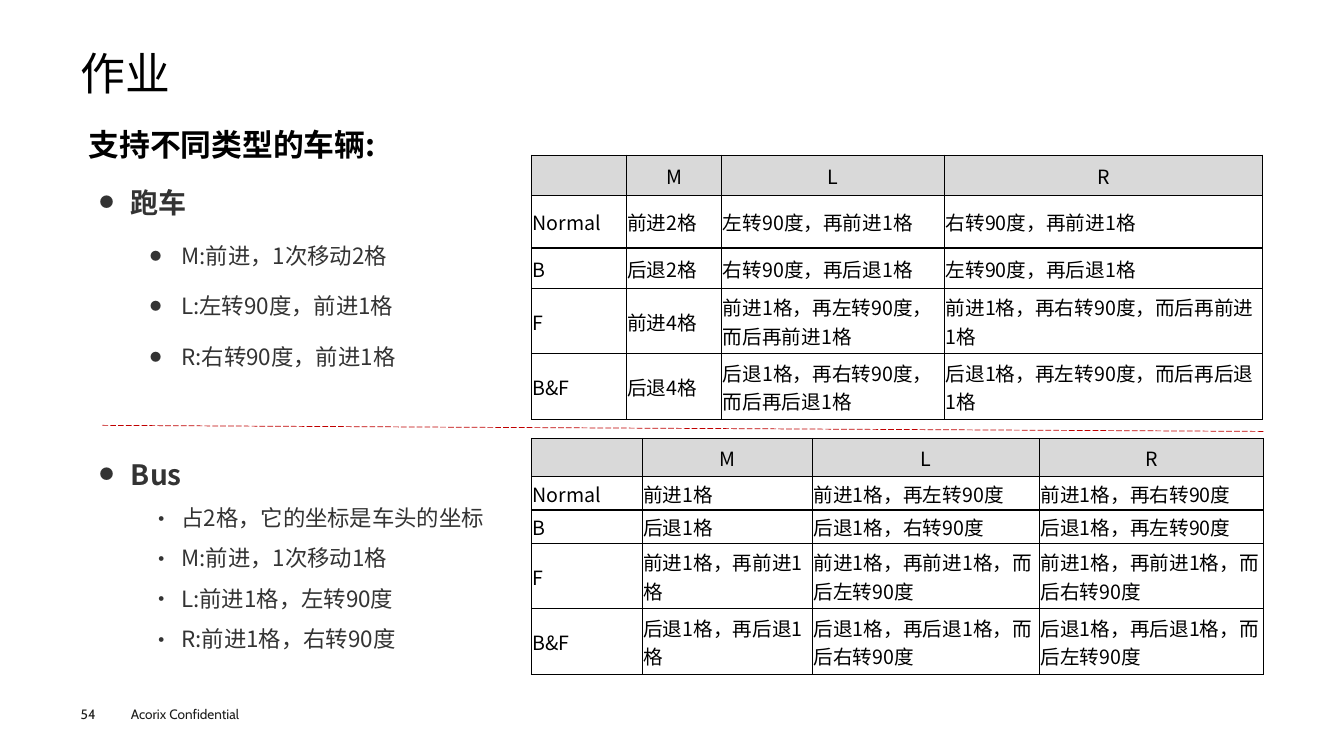
"""Build the homework slide on vehicle types."""
import dataclasses

import lxml.etree
import pptx
import pptx.dml.color
import pptx.enum.dml
import pptx.enum.shapes
import pptx.enum.text
import pptx.oxml.ns
import pptx.util

PX = 9144
ALIGN = pptx.enum.text.PP_ALIGN
ANCHOR = pptx.enum.text.MSO_ANCHOR
FIT = pptx.enum.text.MSO_AUTO_SIZE


@dataclasses.dataclass(frozen=True)
class Theme:
    """Fonts, colours and type sizes of the slide."""
    latin: str = "Cabin"
    chinese: str = "Noto Sans CJK SC"
    black: str = "000000"
    grey: str = "333333"
    footer_ink: str = "1D1D1B"
    header_fill: str = "D9D9D9"
    cell_fill: str = "FFFFFF"
    rule: str = "C00000"
    title: float = 32
    lead: float = 22
    group: float = 20
    item: float = 16
    cell: float = 14
    footer: float = 9.7


THEME = Theme()

CAR_ITEMS = ["M:前进，1次移动2格", "L:左转90度，前进1格", "R:右转90度，前进1格"]
BUS_ITEMS = ["占2格，它的坐标是车头的坐标", "M:前进，1次移动1格",
             "L:前进1格，左转90度", "R:前进1格，右转90度"]
HEADER = ["", "M", "L", "R"]
CAR_MOVES = [
    HEADER,
    ["Normal", "前进2格", "左转90度，再前进1格", "右转90度，再前进1格"],
    ["B", "后退2格", "右转90度，再后退1格", "左转90度，再后退1格"],
    ["F", "前进4格", "前进1格，再左转90度，而后再前进1格", "前进1格，再右转90度，而后再前进1格"],
    ["B&F", "后退4格", "后退1格，再右转90度，而后再后退1格", "后退1格，再左转90度，而后再后退1格"],
]
BUS_MOVES = [
    HEADER,
    ["Normal", "前进1格", "前进1格，再左转90度", "前进1格，再右转90度"],
    ["B", "后退1格", "后退1格，右转90度", "后退1格，再左转90度"],
    ["F", "前进1格，再前进1格", "前进1格，再前进1格，而后左转90度", "前进1格，再前进1格，而后右转90度"],
    ["B&F", "后退1格，再后退1格", "后退1格，再后退1格，而后右转90度", "后退1格，再后退1格，而后左转90度"],
]


def emu(*lengths):
    """Turn px lengths into EMU."""
    return [length * PX for length in lengths]


def rgb(code):
    """Return a colour object for a hex code."""
    return pptx.dml.color.RGBColor.from_string(code)


def add_element(parent, tag, **attributes):
    """Append a DrawingML element to its parent."""
    return lxml.etree.SubElement(parent, pptx.oxml.ns.qn(tag), attributes)


def style(para, size, colour, name=THEME.chinese, bold=False):
    """Set the paragraph font, for Latin and Chinese letters."""
    font = para.font
    font.size = pptx.util.Pt(size)
    font.bold = bold
    font.name = name
    font.color.rgb = rgb(colour)
    defaults = para._p.pPr.find(pptx.oxml.ns.qn("a:defRPr"))
    add_element(defaults, "a:ea", typeface=THEME.chinese)


def set_insets(holder, left, top, right, bottom):
    """Set the four margins of a text frame or cell."""
    holder.margin_left, holder.margin_top, holder.margin_right, holder.margin_bottom = emu(
        left, top, right, bottom)


def add_text(page, place, insets, fit=FIT.SHAPE_TO_FIT_TEXT):
    """Add a wrapping text box and return its text frame."""
    frame = page.shapes.add_textbox(*emu(*place)).text_frame
    frame.word_wrap = True
    frame.auto_size = fit
    set_insets(frame, *insets)
    return frame


def add_footer(page, text, place, insets):
    """Add one footer line."""
    para = add_text(page, place, insets).paragraphs[0]
    para.text = text
    style(para, THEME.footer, THEME.footer_ink, THEME.latin)


def set_title(page, text):
    """Place and format the title placeholder."""
    title = page.shapes.title
    title.left, title.top, title.width, title.height = emu(80, 49, 1173, 53)
    frame = title.text_frame
    set_insets(frame, 0, 0, 0, 0)
    frame.vertical_anchor = ANCHOR.MIDDLE
    frame.auto_size = FIT.NONE
    para = frame.paragraphs[0]
    para.text = text
    para.alignment = ALIGN.LEFT
    para.line_spacing = 0.9
    style(para, THEME.title, THEME.black, THEME.latin)


def add_lead(page, text):
    """Add the bold lead sentence."""
    para = add_text(page, (79, 102, 1173, 534), (9, 4, 9, 4), FIT.NONE).paragraphs[0]
    para.text = text
    para.alignment = ALIGN.JUSTIFY
    para.line_spacing = 1.5
    style(para, THEME.lead, THEME.black, bold=True)


def add_bullet(para, indent, sign, percent):
    """Give a paragraph a hanging bullet."""
    properties = para._p.get_or_add_pPr()
    properties.set("marL", str(indent * PX))
    properties.set("indent", str(-31 * PX))
    add_element(properties, "a:buSzPct", val=str(percent * 1000))
    add_element(properties, "a:buFont", typeface=THEME.chinese)
    add_element(properties, "a:buChar", char=sign)


def add_vehicle(page, place, name, items, sign, percent, gap):
    """Add a vehicle name with its list of moves."""
    frame = add_text(page, place, (10, 5, 10, 5))
    for number, text in enumerate([name] + items):
        para = frame.add_paragraph() if number else frame.paragraphs[0]
        para.text = text
        para.line_spacing = 1.5
        para.space_before = pptx.util.Pt(gap if number else 0)
        para.level = 2 if number else 1
        if number:
            add_bullet(para, 125, sign, percent)
            style(para, THEME.item, THEME.grey)
        else:
            add_bullet(para, 75, "●", 50)
            style(para, THEME.group, THEME.grey, bold=True)


def add_borders(cell):
    """Draw thin black lines on all sides of a cell."""
    properties = cell._tc.get_or_add_tcPr()
    for side in ("a:lnL", "a:lnR", "a:lnT", "a:lnB"):
        line = add_element(properties, side, w="12700")
        add_element(add_element(line, "a:solidFill"), "a:srgbClr", val=THEME.black)


def add_moves(page, left, top, widths, heights, moves):
    """Add a table of moves for each state."""
    shape = page.shapes.add_table(len(heights), len(widths),
                                  *emu(left, top, sum(widths), sum(heights)))
    table = shape.table
    table.first_row = table.horz_banding = False
    for column, width in zip(table.columns, widths):
        column.width = width * PX
    for number, (row, height, texts) in enumerate(zip(table.rows, heights, moves)):
        row.height = height * PX
        for cell, text in zip(row.cells, texts):
            add_borders(cell)
            cell.fill.solid()
            cell.fill.fore_color.rgb = rgb(THEME.cell_fill if number else THEME.header_fill)
            cell.vertical_anchor = ANCHOR.MIDDLE
            set_insets(cell, 1, 1, 1, 0)
            para = cell.text_frame.paragraphs[0]
            para.text = text
            para.alignment = ALIGN.LEFT if number else ALIGN.CENTER
            style(para, THEME.cell, THEME.black)


def add_divider(page):
    """Add the dashed line between the two vehicles."""
    divider = page.shapes.add_connector(pptx.enum.shapes.MSO_CONNECTOR.STRAIGHT,
                                        *emu(1253, 428, 101, 422))
    divider.line.color.rgb = rgb(THEME.rule)
    divider.line.width = pptx.util.Pt(0.5)
    divider.line.dash_style = pptx.enum.dml.MSO_LINE.LONG_DASH
    add_element(divider._element.spPr, "a:effectLst")


def main():
    """Build and save the deck."""
    deck = pptx.Presentation()
    deck.slide_width, deck.slide_height = emu(1333, 750)
    page = deck.slides.add_slide(deck.slide_layouts[5])
    add_footer(page, "Acorix Confidential", (120, 695, 160, 27), (10, 5, 10, 5))
    add_footer(page, "54", (80, 700, 55, 16), (0, 0, 0, 0))
    set_title(page, "作业")
    add_lead(page, "支持不同类型的车辆:")
    add_vehicle(page, (45, 432, 532, 218), "Bus", BUS_ITEMS, "•", 100, 0)
    add_vehicle(page, (45, 162, 519, 216), "跑车", CAR_ITEMS, "●", 50, 7.2)
    add_moves(page, 527, 154, [94, 95, 221, 315], [40, 52, 40, 65, 65], CAR_MOVES)
    add_moves(page, 527, 435, [110, 169, 225, 222], [38, 33, 33, 65, 65], BUS_MOVES)
    add_divider(page)
    deck.save("out.pptx")


if __name__ == "__main__":
    main()
